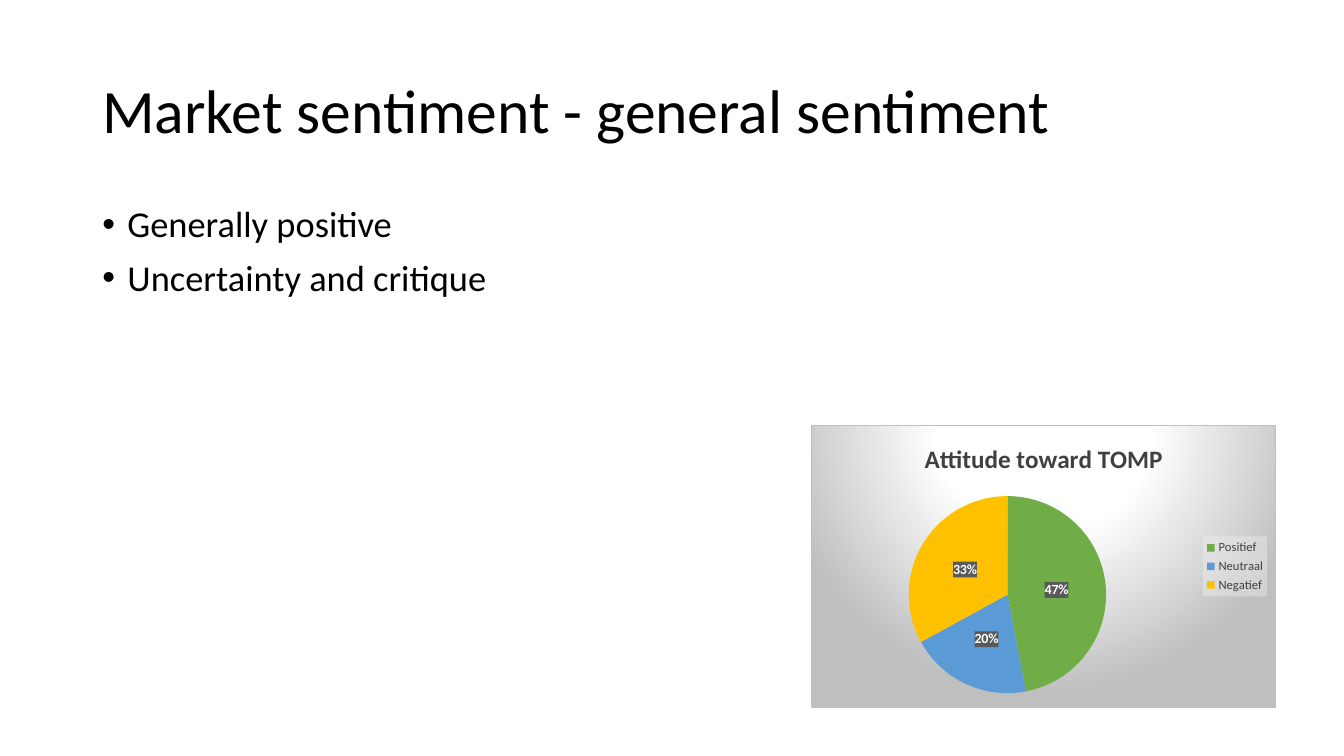
from dataclasses import dataclass

from lxml import etree
from pptx import Presentation
from pptx.chart.data import CategoryChartData
from pptx.dml.color import RGBColor
from pptx.enum.chart import XL_CHART_TYPE, XL_LABEL_POSITION, XL_LEGEND_POSITION
from pptx.enum.text import MSO_ANCHOR
from pptx.oxml import parse_xml
from pptx.oxml.ns import qn
from pptx.slide import Slide
from pptx.text.text import Font
from pptx.util import Pt

PIE = XL_CHART_TYPE.PIE
CENTER = XL_LABEL_POSITION.CENTER
RIGHT = XL_LEGEND_POSITION.RIGHT
TOP = MSO_ANCHOR.TOP
MIDDLE = MSO_ANCHOR.MIDDLE

BLACK = RGBColor(0x00, 0x00, 0x00)
WHITE = RGBColor(0xFF, 0xFF, 0xFF)
CHARCOAL = RGBColor(0x40, 0x40, 0x40)
LABEL_GRAY = RGBColor(0x59, 0x59, 0x59)
LEGEND_GRAY = RGBColor(0xF2, 0xF2, 0xF2)
BORDER_GRAY = RGBColor(0xBF, 0xBF, 0xBF)
GREEN = RGBColor(0x70, 0xAD, 0x47)
BLUE = RGBColor(0x5B, 0x9B, 0xD5)
YELLOW = RGBColor(0xFF, 0xC0, 0x00)

FONT_NAME = "Calibri"
NAMESPACES = (
    'xmlns:c="http://schemas.openxmlformats.org/drawingml/2006/chart" '
    'xmlns:a="http://schemas.openxmlformats.org/drawingml/2006/main"'
)


@dataclass(frozen=True)
class TextBlock:
    lines: tuple[str, ...]
    top: float
    height: float
    size: float
    anchor: MSO_ANCHOR
    space_before: float = 0
    bulleted: bool = False


@dataclass(frozen=True)
class Slice:
    name: str
    percent: int
    color: RGBColor


TEXT_BLOCKS = (
    TextBlock(("Market sentiment - general sentiment",), 28.8, 104.4, 44, MIDDLE),
    TextBlock(("Generally positive", "Uncertainty and critique"),
              144, 342.7, 26, TOP, 10, True),
)
SLICES = (
    Slice("Positief", 47, GREEN),
    Slice("Neutraal", 20, BLUE),
    Slice("Negatief", 33, YELLOW),
)


def style_font(font: Font, size: float, color: RGBColor, bold: bool = False) -> None:
    font.name = FONT_NAME
    font.size = Pt(size)
    font.bold = bold
    font.color.rgb = color


def add_text_block(slide: Slide, block: TextBlock) -> None:
    shape = slide.shapes.add_textbox(Pt(66), Pt(block.top), Pt(828), Pt(block.height))
    text_frame = shape.text_frame
    text_frame.word_wrap = True
    text_frame.vertical_anchor = block.anchor
    text_frame.text = "\n".join(block.lines)
    for paragraph in text_frame.paragraphs:
        paragraph.line_spacing = 0.9
        paragraph.space_before = Pt(block.space_before)
        style_font(paragraph.runs[0].font, block.size, BLACK)
        if block.bulleted:
            properties = paragraph._p.get_or_add_pPr()
            properties.set("marL", str(Pt(18)))
            properties.set("indent", str(-Pt(18)))
            etree.SubElement(properties, qn("a:buFont")).set("typeface", "Arial")
            etree.SubElement(properties, qn("a:buChar")).set("char", "•")


def shape_properties(content: str) -> etree._Element:
    return parse_xml(f"<c:spPr {NAMESPACES}>{content}</c:spPr>")


def solid_fill(color: RGBColor, opacity: int = 100) -> etree._Element:
    return shape_properties(
        f'<a:solidFill><a:srgbClr val="{color}">'
        f'<a:alpha val="{opacity * 1000}"/></a:srgbClr></a:solidFill>'
    )


def chart_background() -> etree._Element:
    stops = "".join(
        f'<a:gs pos="{position * 1000}"><a:srgbClr val="{color}"/></a:gs>'
        for position, color in ((0, WHITE), (39, WHITE), (100, BORDER_GRAY))
    )
    return shape_properties(
        f'<a:gradFill><a:gsLst>{stops}</a:gsLst><a:path path="circle">'
        '<a:fillToRect l="50000" t="0" r="50000" b="100000"/></a:path></a:gradFill>'
        f'<a:ln w="{Pt(0.75)}"><a:solidFill><a:srgbClr val="{BORDER_GRAY}"/>'
        "</a:solidFill></a:ln>"
    )


def add_attitude_chart(slide: Slide) -> None:
    data = CategoryChartData()
    data.categories = [item.name for item in SLICES]
    data.add_series("Series 1", [item.percent for item in SLICES])
    chart = slide.shapes.add_chart(
        PIE, Pt(579.6), Pt(303.8), Pt(331.9), Pt(201.6), data
    ).chart
    style_font(chart.font, 10, BLACK)
    chart._chartSpace.find(qn("c:chart")).addnext(chart_background())

    chart.has_title = True
    title_frame = chart.chart_title.text_frame
    title_frame.text = "Attitude toward TOMP"
    style_font(title_frame.paragraphs[0].runs[0].font, 18, CHARCOAL, True)

    chart.has_legend = True
    legend = chart.legend
    legend.position = RIGHT
    legend.include_in_layout = False
    style_font(legend.font, 9, CHARCOAL)
    legend._element.find(qn("c:txPr")).addprevious(solid_fill(LEGEND_GRAY, 39))

    plot = chart.plots[0]
    plot.vary_by_categories = True
    series = plot.series[0]
    for index, item in enumerate(SLICES):
        fill = series.points[index].format.fill
        fill.solid()
        fill.fore_color.rgb = item.color

    labels = series.data_labels
    labels.show_percentage = True
    labels.show_value = False
    labels.number_format = "0%"
    labels.number_format_is_linked = False
    labels.position = CENTER
    style_font(labels.font, 10, WHITE, True)
    labels._element.find(qn("c:txPr")).addprevious(solid_fill(LABEL_GRAY))


def main() -> None:
    presentation = Presentation()
    presentation.slide_width = Pt(960)
    presentation.slide_height = Pt(540)
    slide = presentation.slides.add_slide(presentation.slide_layouts[6])
    for block in TEXT_BLOCKS:
        add_text_block(slide, block)
    add_attitude_chart(slide)
    presentation.save("out.pptx")


if __name__ == "__main__":
    main()
